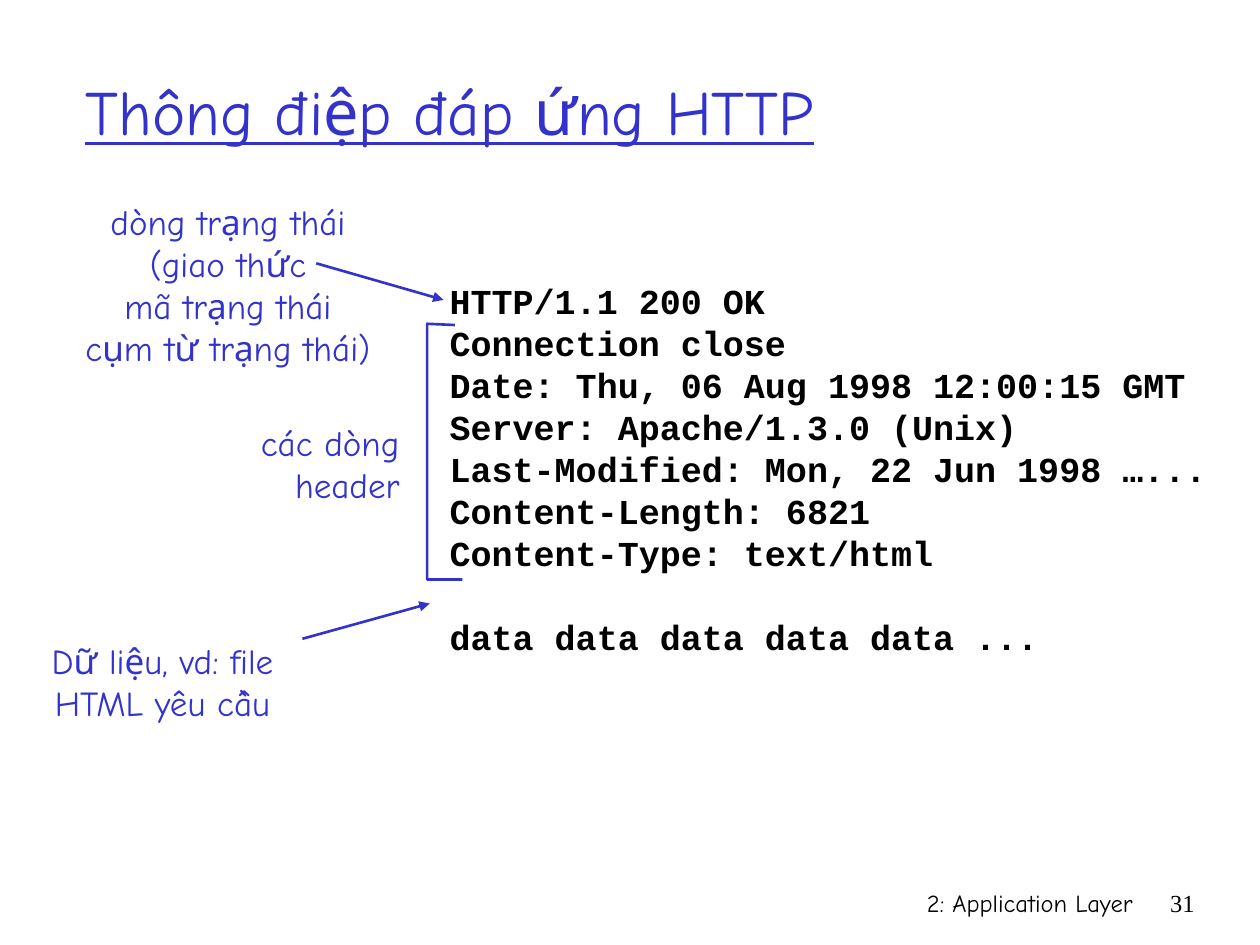
from lxml import etree
from pptx import Presentation
from pptx.dml.color import RGBColor
from pptx.enum.shapes import MSO_CONNECTOR
from pptx.enum.text import MSO_ANCHOR, MSO_AUTO_SIZE, PP_ALIGN
from pptx.oxml.ns import qn
from pptx.util import Inches, Pt

LEFT, CENTER, RIGHT = PP_ALIGN.LEFT, PP_ALIGN.CENTER, PP_ALIGN.RIGHT
MIDDLE, TOP = MSO_ANCHOR.MIDDLE, MSO_ANCHOR.TOP
FIT, FIXED = MSO_AUTO_SIZE.SHAPE_TO_FIT_TEXT, MSO_AUTO_SIZE.NONE
STRAIGHT = MSO_CONNECTOR.STRAIGHT

BLUE, BLACK = "3333CC", "000000"
SANS, MONO, SERIF = "Comic Neue", "Courier New", "Times New Roman"
LINE_PITCH = Pt(24)

TITLE = "Thông điệp đáp ứng HTTP"
FOOTERS = [
    ("2: Application Layer", (5.92, 7, 3.17, 0.5), SANS),
    ("31", (9.08, 7, 0.5, 0.5), SERIF),
]
RESPONSE = [
    "HTTP/1.1 200 OK",
    "Connection close",
    "Date: Thu, 06 Aug 1998 12:00:15 GMT",
    "Server: Apache/1.3.0 (Unix)",
    "Last-Modified: Mon, 22 Jun 1998 …...",
    "Content-Length: 6821",
    "Content-Type: text/html",
    "data data data data data ...",
]
LABELS = [
    (["dòng trạng thái", "(giao thức", "mã trạng thái", "cụm từ trạng thái)"],
     (0.58, 1.54, 2.46, 1.44), CENTER),
    (["các dòng", "header"], (1.97, 3.3, 1.3, 0.77), RIGHT),
    (["Dữ liệu, vd: file", "HTML yêu cầu"], (0.31, 5.03, 1.96, 0.77), CENTER),
]
ARROWS = [((2.51, 2.09), (3.52, 2.38)), ((2.4, 5.07), (3.41, 4.79))]
BRACKET = [(3.61, 2.58), (3.39, 2.57), (3.39, 4.6), (3.67, 4.6)]


def color(value):
    return RGBColor.from_string(value)


def add_text(lines, box, font, size, fill, align=LEFT, anchor=TOP,
             wrap=True, bold=False, underline=False, pitch=None):
    tb = s.shapes.add_textbox(*map(Inches, box))
    tf = tb.text_frame
    tf.word_wrap = wrap
    tf.auto_size = FIXED if wrap else FIT
    tf.vertical_anchor = anchor
    for i, line in enumerate(lines):
        p = tf.paragraphs[0] if i == 0 else tf.add_paragraph()
        p.alignment = align
        if pitch:
            p.line_spacing = pitch
        r = p.add_run()
        r.text = line
        r.font.name = font
        r.font.size = Pt(size)
        r.font.bold = bold
        r.font.underline = underline
        r.font.color.rgb = color(fill)
    return tf


def style_line(line):
    line.color.rgb = color(BLUE)
    line.width = Pt(1.5)


def add_arrow(start, end):
    cn = s.shapes.add_connector(STRAIGHT, *map(Inches, start + end))
    style_line(cn.line)
    etree.SubElement(cn.line._get_or_add_ln(), qn("a:tailEnd"), type="triangle")
    etree.SubElement(cn._element.spPr, qn("a:effectLst"))


def add_bracket(points):
    pts = [(Inches(x), Inches(y)) for x, y in points]
    fb = s.shapes.build_freeform(*pts[0])
    fb.add_line_segments(pts[1:], close=False)
    sp = fb.convert_to_shape()
    sp.shadow.inherit = False
    sp.fill.background()
    style_line(sp.line)


prs = Presentation()
prs.slide_width, prs.slide_height = Inches(10), Inches(7.5)
s = prs.slides.add_slide(prs.slide_layouts[6])

for text, box, font in FOOTERS:
    add_text([text], box, font, 14, BLACK, RIGHT)
add_text([TITLE], (0.58, 0.25, 8.5, 1.25), SANS, 36, BLUE,
         anchor=MIDDLE, underline=True)
tf = add_text(RESPONSE, (3.47, 2.17, 6.38, 3.1), MONO, 20, BLACK,
              wrap=False, bold=True, pitch=LINE_PITCH)
tf.paragraphs[-1].space_before = LINE_PITCH
for lines, box, align in LABELS:
    add_text(lines, box, SANS, 20, BLUE, align, wrap=False, pitch=LINE_PITCH)
for start, end in ARROWS:
    add_arrow(start, end)
add_bracket(BRACKET)

prs.save("out.pptx")
